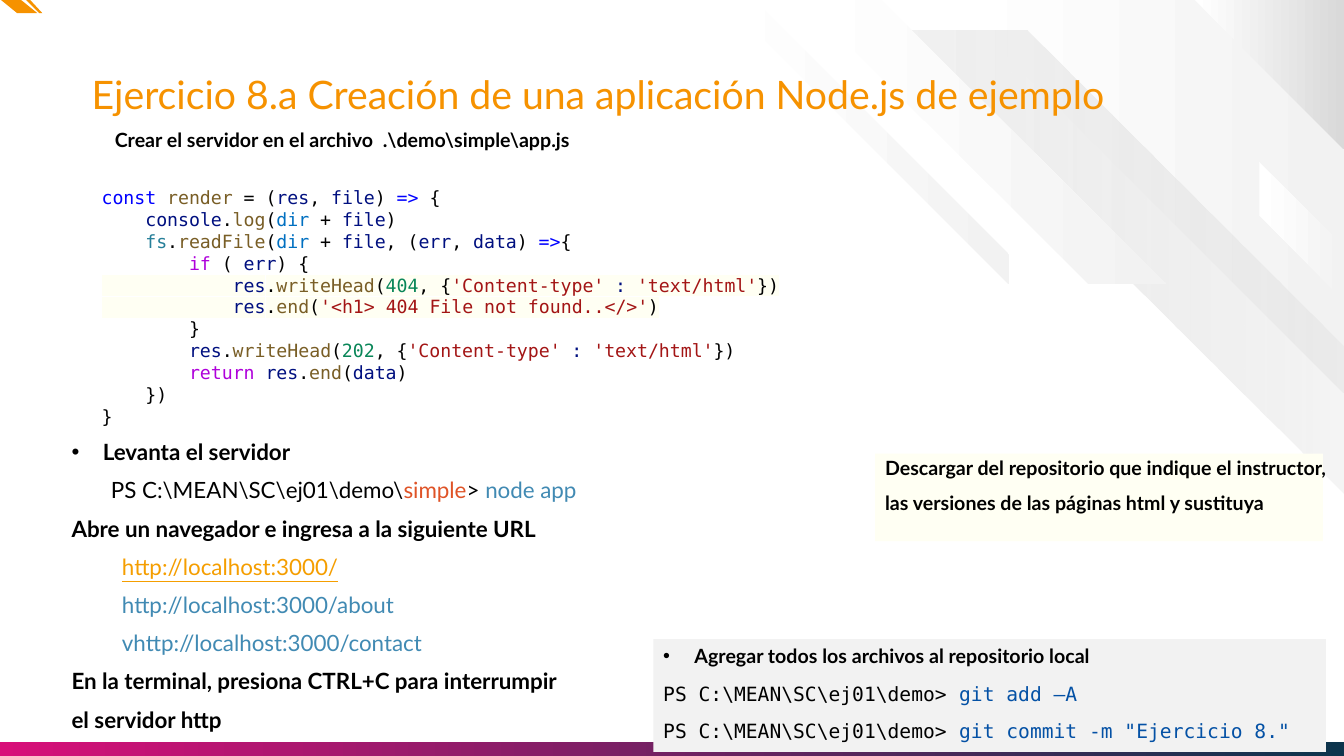
from lxml.etree import SubElement
from pptx import Presentation
from pptx.dml.color import RGBColor
from pptx.enum.shapes import MSO_SHAPE
from pptx.enum.text import MSO_ANCHOR, MSO_AUTO_SIZE, PP_ALIGN
from pptx.oxml.ns import qn
from pptx.util import Pt

PX = 9144  # EMU per px, 100 px to the inch
WIDTH, HEIGHT = 1333, 750
SANS, MONO = "Lato", "DejaVu Sans Mono"

BLACK = RGBColor(0x00, 0x00, 0x00)
WHITE = RGBColor(0xFF, 0xFF, 0xFF)
PALE = RGBColor(0xF2, 0xF2, 0xF2)
GRAY = RGBColor(0xD9, 0xD9, 0xD9)
CREAM = RGBColor(0xFF, 0xFF, 0xF3)
ORANGE = RGBColor(0xF6, 0x92, 0x00)
AMBER = RGBColor(0xF5, 0x9E, 0x00)
RUST = RGBColor(0xDF, 0x53, 0x27)
STEEL = RGBColor(0x41, 0x8A, 0xB3)
PINK = RGBColor(0xD8, 0x0F, 0x79)
NIGHT = RGBColor(0x0C, 0x34, 0x4C)
COMMAND = RGBColor(0x04, 0x51, 0xA5)

# Syntax colours and the tokens that take them
KEYWORD = RGBColor(0x00, 0x00, 0xFF)
FUNCTION = RGBColor(0x79, 0x5E, 0x26)
VARIABLE = RGBColor(0x00, 0x10, 0x80)
CONSTANT = RGBColor(0x00, 0x70, 0xC1)
LIBRARY = RGBColor(0x26, 0x7F, 0x99)
CONTROL = RGBColor(0xAF, 0x00, 0xDB)
NUMBER = RGBColor(0x09, 0x86, 0x58)
STRING = RGBColor(0xA3, 0x15, 0x15)
SYNTAX = {
    KEYWORD: "const =>",
    FUNCTION: "render log readFile writeHead end",
    VARIABLE: "res file console err data :",
    CONSTANT: "dir",
    LIBRARY: "fs",
    CONTROL: "if return",
    NUMBER: "404 202",
}
TOKENS = {token: c for c, words in SYNTAX.items() for token in words.split()}

# Token boundaries are marked with |
CODE = """\
const |render| = (|res|, |file|) |=>| {
    |console|.|log|(|dir| + |file|)
    |fs|.|readFile|(|dir| + |file|, (|err|, |data|) |=>|{
        |if| ( |err|) {
            |res|.|writeHead|(|404|, {|'Content-type'| : |'text/html'|})
            |res|.|end|(|'<h1> 404 File not found..</>'|)
        }
        |res|.|writeHead|(|202|, {|'Content-type'| : |'text/html'|})
        |return |res|.|end|(|data|)
    })
}""".split("\n")
MARKED_LINES = (4, 5)


def token_colour(token):
    if token.startswith("'"):
        return STRING
    return TOKENS.get(token.strip(), BLACK)


class Deck:
    def __init__(self):
        self.prs = Presentation()
        self.prs.slide_width, self.prs.slide_height = WIDTH * PX, HEIGHT * PX
        self.s = self.prs.slides.add_slide(self.prs.slide_layouts[1])

    def paint(self, sp, colours, alpha=None):
        """One colour fills solid, two make a left-to-right gradient."""
        sp.shadow.inherit = False
        sp.line.fill.background()
        if len(colours) == 1:
            sp.fill.solid()
            sp.fill.fore_color.rgb = colours[0]
            return
        sp.fill.gradient()
        sp.fill.gradient_angle = 0
        for stop, colour in zip(sp.fill.gradient_stops, colours):
            stop.color.rgb = colour
        if alpha:
            last = list(sp.element.iter(qn("a:srgbClr")))[-1]
            SubElement(last, qn("a:alpha"), val=str(alpha * 1000))

    def polygon(self, points, colours, alpha=None):
        builder = self.s.shapes.build_freeform(*points[0], scale=PX)
        builder.add_line_segments(points[1:], close=True)
        self.paint(builder.convert_to_shape(), colours, alpha)

    def rect(self, box, *colours):
        sp = self.s.shapes.add_shape(MSO_SHAPE.RECTANGLE, *[v * PX for v in box])
        self.paint(sp, colours)
        return sp

    def textbox(self, box):
        return self.s.shapes.add_textbox(*[v * PX for v in box])

    def placeholder(self, idx, box):
        sp = self.s.placeholders[idx]
        for name, v in zip(("left", "top", "width", "height"), box):
            setattr(sp, name, v * PX)
        sp.element.getparent().append(sp.element)  # in front of the decoration
        return sp

    def add_text(self, sp, paragraphs, font, para=None, frame=None):
        """Each paragraph is (runs, options); each run is (text, colour, font changes)."""
        tf = sp.text_frame
        frame = {"word_wrap": False, "auto_size": MSO_AUTO_SIZE.NONE,
                 "vertical_anchor": MSO_ANCHOR.TOP, **(frame or {})}
        for name, value in frame.items():
            setattr(tf, name, value)
        for i, (runs, options) in enumerate(paragraphs):
            p = tf.add_paragraph() if i else tf.paragraphs[0]
            for name, value in {"alignment": PP_ALIGN.LEFT, **(para or {})}.items():
                setattr(p, name, value)
            self.indent(p, options.get("left", 0), options.get("bullet"))
            for text, colour, *changes in runs:
                r = p.add_run()
                r.text = text
                for name, value in {**font, **(changes[0] if changes else {})}.items():
                    setattr(r.font, name, value)
                r.font.color.rgb = colour
                if options.get("mark"):
                    self.highlight(r, options["mark"])

    def indent(self, p, left, bullet):
        pPr = p._p.get_or_add_pPr()
        pPr.set("marL", str(left * PX))
        pPr.set("indent", str(-left * PX if bullet else 0))
        if bullet:
            SubElement(pPr, qn("a:buFont"), typeface="Arial")
            SubElement(pPr, qn("a:buChar"), char=bullet)
        else:
            SubElement(pPr, qn("a:buNone"))

    def highlight(self, r, colour):
        fill = r._r.get_or_add_rPr().find(qn("a:solidFill"))
        mark = SubElement(fill.getparent(), qn("a:highlight"))
        SubElement(mark, qn("a:srgbClr"), val=str(colour))
        fill.addnext(mark)


def main():
    deck = Deck()
    bold14 = {"name": SANS, "size": Pt(14), "bold": True}
    bold16 = {**bold14, "size": Pt(16)}
    plain = {"bold": False}
    mono = {"name": MONO, "bold": False}
    loose = {"space_before": Pt(10)}
    spaced = {"line_spacing": 0.9, **loose}
    bullet = {"left": 31, "bullet": "•"}

    # Background stripes
    deck.polygon([(1333, 0), (943, 0), (1333, 390)], (WHITE, PALE))
    deck.polygon([(1333, 344), (1019, 30), (871, 30), (1333, 491)], (PALE, GRAY), 26)
    deck.polygon([(1333, 245), (1249, 161), (1249, 214), (1333, 298)], (WHITE, PALE))
    deck.polygon([(1157, 282), (874, 0), (797, 0), (1080, 282)], (WHITE, PALE))
    deck.polygon([(1333, 0), (1185, 0), (1333, 148)], (WHITE, GRAY))
    deck.polygon([(748, 0), (1001, 253), (1001, 282), (718, 0)], (WHITE, PALE))

    # Corner accent and bottom bar
    deck.polygon([(1, 0), (17, 13), (37, 13), (21, 0)], (ORANGE,))
    deck.polygon([(26, 0), (39, 13), (42, 13), (30, 0)], (ORANGE,))
    deck.rect((0, 736, WIDTH, 14), PINK, NIGHT)

    # Title and subtitle
    margins = dict.fromkeys(
        ("margin_left", "margin_top", "margin_right", "margin_bottom"), 0)
    deck.add_text(deck.placeholder(0, (91, 75, 1085, 42)),
                  [([("Ejercicio 8.a Creación de una aplicación Node.js de ejemplo", ORANGE)], {})],
                  {"name": SANS, "size": Pt(28)}, {"line_spacing": 0.9},
                  {"word_wrap": True, "vertical_anchor": MSO_ANCHOR.MIDDLE, **margins})
    deck.add_text(deck.textbox((104, 125, 577, 34)),
                  [([("Crear el servidor en el archivo  .\\demo\\simple\\app.js", BLACK)], {})],
                  bold14, spaced)

    # Code listing
    listing = [([(t, token_colour(t)) for t in line.split("|")],
                {"mark": CREAM if i in MARKED_LINES else None})
               for i, line in enumerate(CODE)]
    deck.add_text(deck.textbox((91, 180, 1000, 252)), listing,
                  {"name": MONO, "size": Pt(13)}, frame={"word_wrap": True})

    # Download note
    note = ("Descargar del repositorio que indique el instructor,",
            "las versiones de las páginas html y sustituya")
    deck.add_text(deck.rect((868, 450, 444, 87), CREAM),
                  [([(text, BLACK)], {}) for text in note], bold14, spaced)

    # Steps
    url = {"left": 50}
    steps = [
        ([("Levanta el servidor", BLACK)], bullet),
        ([("PS C:\\MEAN\\SC\\ej01\\demo\\", BLACK, plain), ("simple", RUST, plain),
          ("> ", BLACK, plain), ("node app", STEEL, plain)], {"left": 39}),
        ([("Abre un navegador e ingresa a la siguiente URL", BLACK)], {}),
        ([("http://localhost:3000/", AMBER, {"bold": False, "underline": True})], url),
        ([("http://localhost:3000/about", STEEL, plain)], url),
        ([("vhttp://localhost:3000/contact", STEEL, plain)], url),
        ([("En la terminal, presiona CTRL+C para interrumpir", BLACK)], {}),
        ([("el servidor http", BLACK)], {}),
    ]
    deck.add_text(deck.placeholder(1, (61, 433, 620, 206)), steps, bold16, spaced)

    # Commit commands
    commands = [([("PS C:\\MEAN\\SC\\ej01\\demo> ", BLACK, mono), (text, COMMAND, mono)], {})
                for text in ("git add –A", 'git commit -m "Ejercicio 8."')]
    heading = ([("Agregar todos los archivos al repositorio local", BLACK)], bullet)
    deck.add_text(deck.rect((648, 634, 667, 112), PALE), [heading, *commands],
                  bold14, loose, {"word_wrap": True})

    deck.prs.save("out.pptx")


if __name__ == "__main__":
    main()
